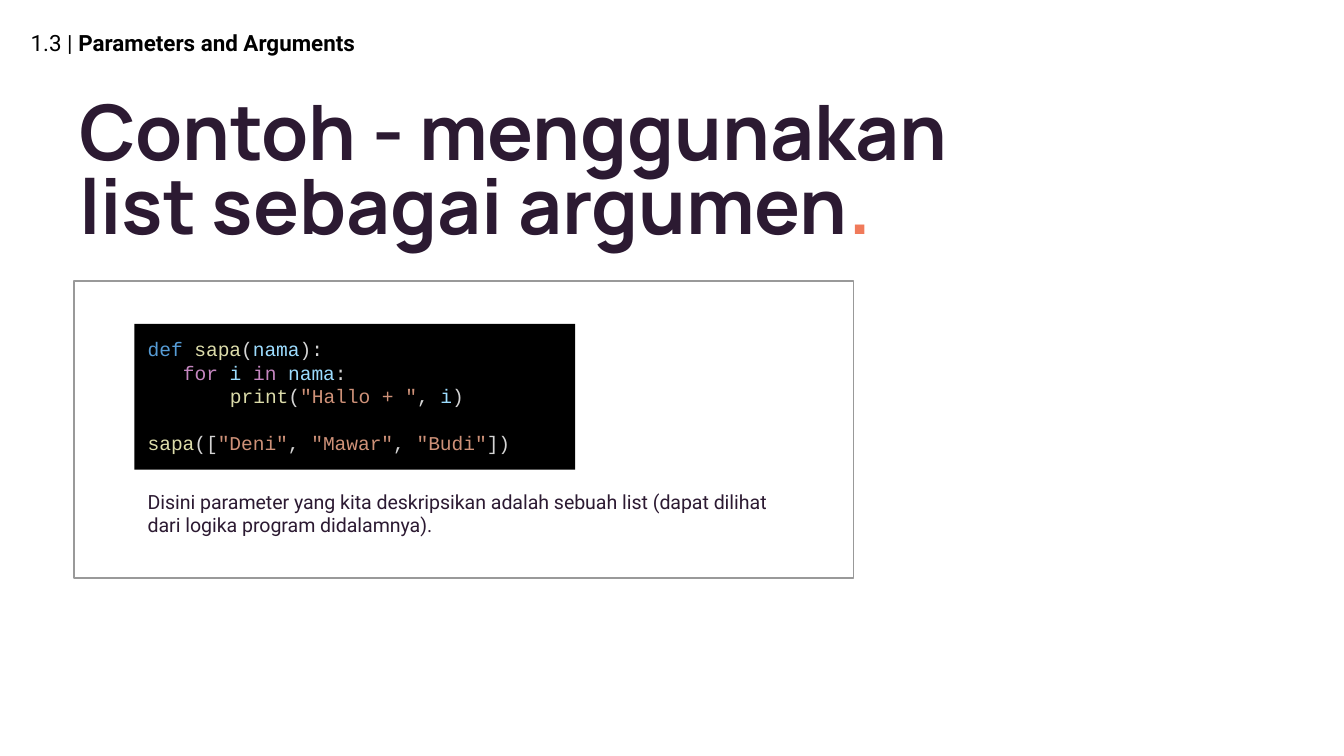
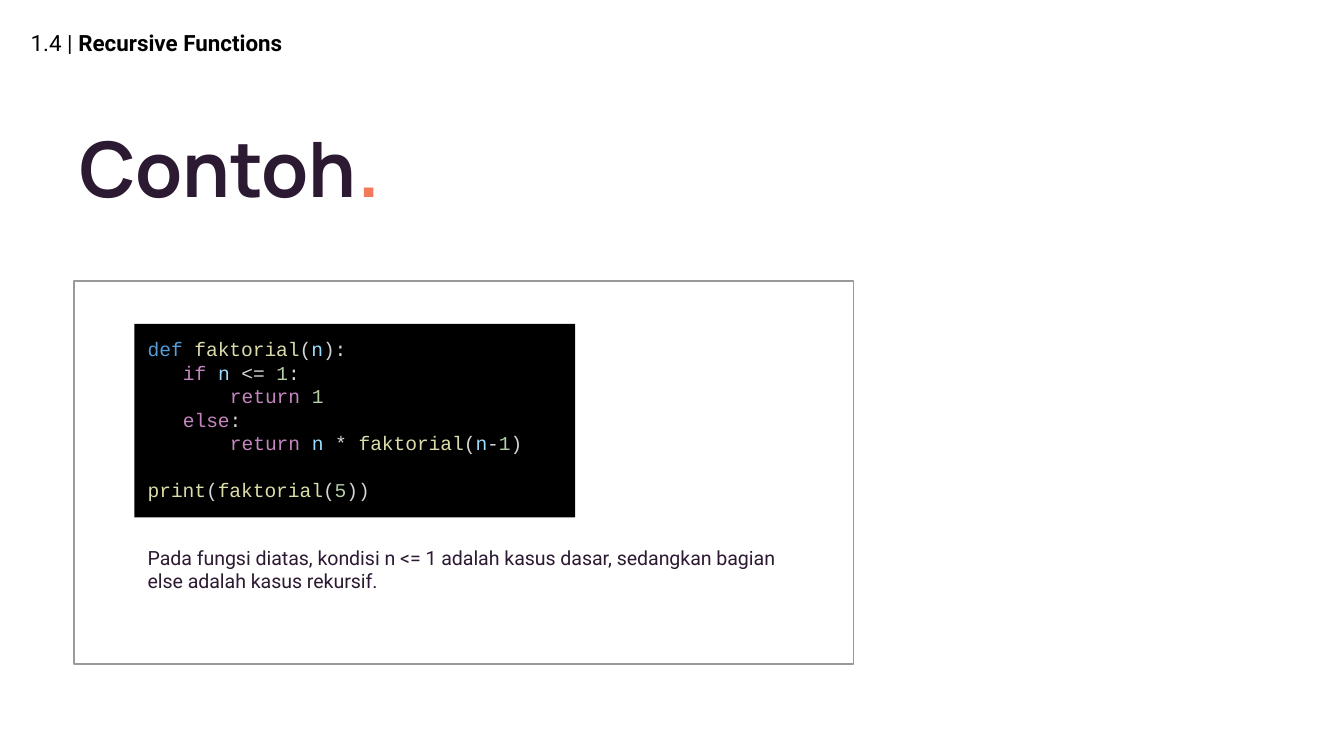
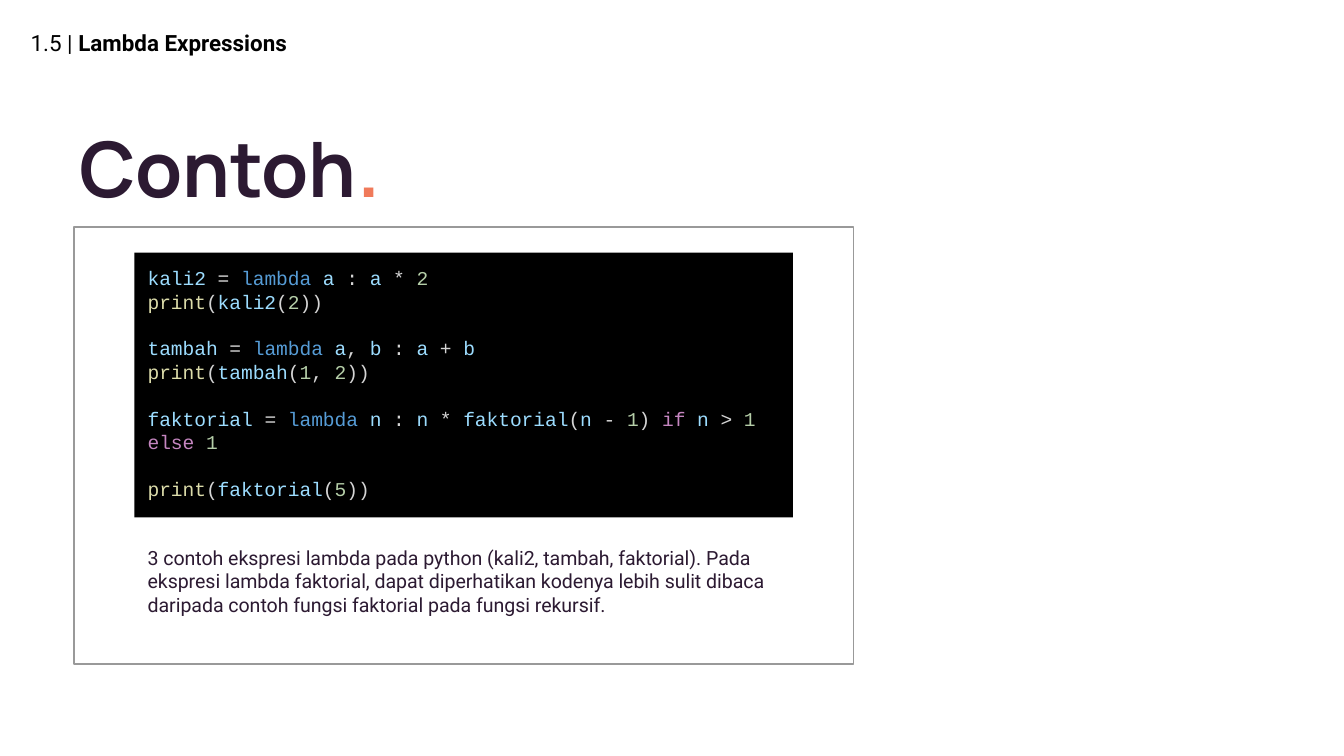
from itertools import groupby
from typing import NamedTuple

from pptx import Presentation
from pptx.dml.color import RGBColor
from pptx.enum.shapes import MSO_SHAPE
from pptx.enum.text import MSO_ANCHOR, PP_ALIGN
from pptx.util import Inches, Pt

COLORS = {
    "paper": "FFFFFF",
    "ink": "000000",
    "plum": "2C1A32",
    "coral": "F07A5A",
    "border": "999999",
    "declaration": "569CD6",
    "control": "C586C0",
    "function": "DCDCAA",
    "variable": "9CDCFE",
    "number": "B5CEA8",
    "string": "CE9178",
    "symbol": "D4D4D4",
}
DECLARATIONS = {"def", "lambda"}
CONTROLS = {"for", "in", "if", "else", "return"}
BODY_SIZE = 10.5
CODE_FONT = "Courier New"
CHARACTER_WIDTH = 0.6 * BODY_SIZE
BLANK_LINE = 12.5
LINE_HEIGHT = 12.75 / 72
INSET = 0.1


class Box(NamedTuple):
    left: float
    top: float
    width: float
    height: float

    def lengths(self):
        return [Inches(value) for value in self]


class Example(NamedTuple):
    number: str
    topic: str
    title: str
    panel: Box
    code: str
    functions: set
    code_top: float
    code_width: float
    code_lines: int
    note: str
    note_gap: float
    note_height: float


HEADER = Box(0.13, 0.07, 4.56, 0.5)
TITLE = Box(0.49, 0.52, 7.6, 1.57)
CODE_LEFT = 0.45
NOTE_WIDTH = 4.99

EXAMPLES = [
    Example(
        "1.3", "Parameters and Arguments",
        "Contoh - menggunakan list sebagai argumen",
        Box(0.55, 2.09, 5.8, 2.21),
        '''def sapa(nama):
   for i in nama:
       print("Hallo + ", i)

sapa(["Deni", "Mawar", "Budi"])''',
        {"sapa", "print"}, 0.32, 3.28, 5,
        "Disini parameter yang kita deskripsikan adalah sebuah list "
        "(dapat dilihat dari logika program didalamnya).",
        0.05, 0.56,
    ),
    Example(
        "1.4", "Recursive Functions", "Contoh",
        Box(0.55, 2.09, 5.8, 2.85),
        '''def faktorial(n):
   if n <= 1:
       return 1
   else:
       return n * faktorial(n-1)

print(faktorial(5))''',
        {"faktorial", "print"}, 0.32, 3.28, 7,
        "Pada fungsi diatas, kondisi n <= 1 adalah kasus dasar, "
        "sedangkan bagian else adalah kasus rekursif.",
        0.11, 0.56,
    ),
    Example(
        "1.5", "Lambda Expressions", "Contoh",
        Box(0.55, 1.69, 5.8, 3.25),
        '''kali2 = lambda a : a * 2
print(kali2(2))

tambah = lambda a, b : a + b
print(tambah(1, 2))

faktorial = lambda n : n * faktorial(n - 1) if n > 1 else 1

print(faktorial(5))''',
        {"print"}, 0.19, 4.9, 10,
        "3 contoh ekspresi lambda pada python (kali2, tambah, faktorial). "
        "Pada ekspresi lambda faktorial, dapat diperhatikan kodenya lebih sulit "
        "dibaca daripada contoh fungsi faktorial pada fungsi rekursif.",
        0.11, 0.73,
    ),
]


def rgb(name):
    return RGBColor.from_string(COLORS[name])


def add_span(para, text, font, size, color, bold=False):
    span = para.add_run()
    span.text = text
    span.font.name = font
    span.font.size = Pt(size)
    span.font.bold = bold
    span.font.color.rgb = rgb(color)


def prepare_frame(shape, anchor):
    frame = shape.text_frame
    frame.word_wrap = True
    frame.vertical_anchor = anchor
    frame.margin_left = frame.margin_right = Inches(INSET)
    frame.margin_top = frame.margin_bottom = Inches(INSET)
    return frame


def add_text(page, box, anchor=MSO_ANCHOR.MIDDLE):
    frame = prepare_frame(page.shapes.add_textbox(*box.lengths()), anchor)
    return frame.paragraphs[0]


def add_rectangle(page, box, fill=None, line=None):
    shape = page.shapes.add_shape(MSO_SHAPE.RECTANGLE, *box.lengths())
    shape.shadow.inherit = False
    if fill:
        shape.fill.solid()
        shape.fill.fore_color.rgb = rgb(fill)
    else:
        shape.fill.background()
    if line:
        shape.line.color.rgb = rgb(line)
        shape.line.width = Pt(0.75)
    else:
        shape.line.fill.background()
    return shape


def add_header(page, box, number, topic):
    para = add_text(page, box)
    add_span(para, f"{number} |", "Roboto", 12, "ink")
    add_span(para, f" {topic}", "Roboto", 12, "ink", bold=True)


def add_title(page, box, title):
    para = add_text(page, box)
    para.line_spacing = 0.8
    add_span(para, title, "Manrope", 41, "plum", bold=True)
    add_span(para, ".", "Manrope", 41, "coral", bold=True)


def token_kind(token, functions):
    if token in DECLARATIONS:
        return "declaration"
    if token in CONTROLS:
        return "control"
    if token in functions:
        return "function"
    if token.isdigit():
        return "number"
    return "variable" if token.isalnum() else "symbol"


def code_tokens(line, functions):
    for index, part in enumerate(line.split('"')):
        if index % 2:
            yield f'"{part}"', "string"
            continue
        for _, letters in groupby(part, str.isalnum):
            token = "".join(letters)
            yield token, token_kind(token, functions)


def add_code(page, box, code, functions):
    frame = prepare_frame(add_rectangle(page, box, fill="ink"), MSO_ANCHOR.TOP)
    for index, block in enumerate(code.split("\n\n")):
        for row, line in enumerate(block.split("\n")):
            first = index == row == 0
            para = frame.paragraphs[0] if first else frame.add_paragraph()
            para.alignment = PP_ALIGN.LEFT
            if index and row == 0:
                para.space_before = Pt(BLANK_LINE)
            statement = line.lstrip()
            depth = len(line) - len(statement)
            if depth:
                properties = para._p.get_or_add_pPr()
                properties.set("marL", str(Pt(depth * CHARACTER_WIDTH)))
                properties.set("indent", "0")
            for token, kind in code_tokens(statement, functions):
                add_span(para, token, CODE_FONT, BODY_SIZE, kind)


def add_panel(page, box, example):
    add_rectangle(page, box, line="border")
    code_box = Box(
        box.left + CODE_LEFT,
        box.top + example.code_top,
        example.code_width,
        2 * INSET + example.code_lines * LINE_HEIGHT,
    )
    add_code(page, code_box, example.code, example.functions)
    note_box = Box(
        code_box.left,
        code_box.top + code_box.height + example.note_gap,
        NOTE_WIDTH,
        example.note_height,
    )
    para = add_text(page, note_box, MSO_ANCHOR.TOP)
    add_span(para, example.note, "Roboto", BODY_SIZE, "plum")


def add_example_page(deck, example):
    page = deck.slides.add_slide(deck.slide_layouts[6])
    page.background.fill.solid()
    page.background.fill.fore_color.rgb = rgb("paper")
    add_header(page, HEADER, example.number, example.topic)
    add_title(page, TITLE, example.title)
    add_panel(page, example.panel, example)


def main():
    deck = Presentation()
    deck.slide_width = Inches(10)
    deck.slide_height = deck.slide_width * 9 // 16
    for example in EXAMPLES:
        add_example_page(deck, example)
    deck.save("out.pptx")


if __name__ == "__main__":
    main()
